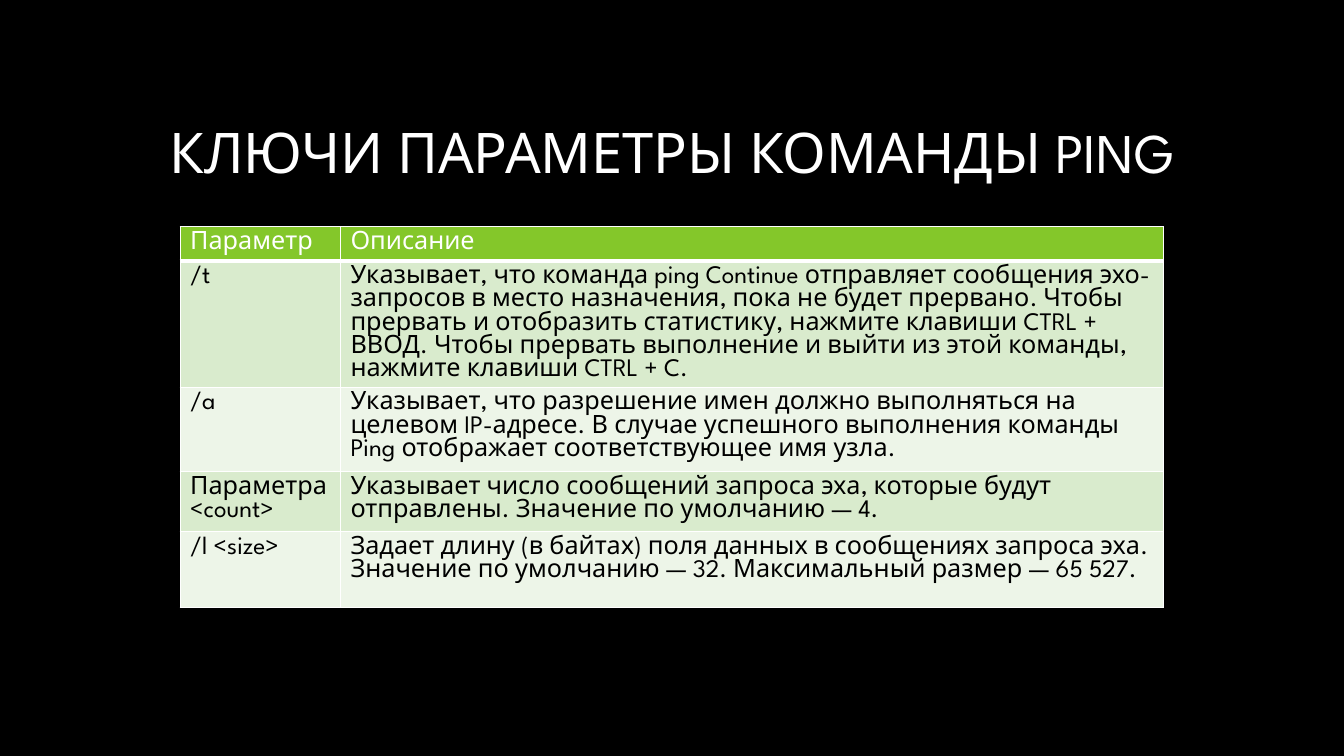
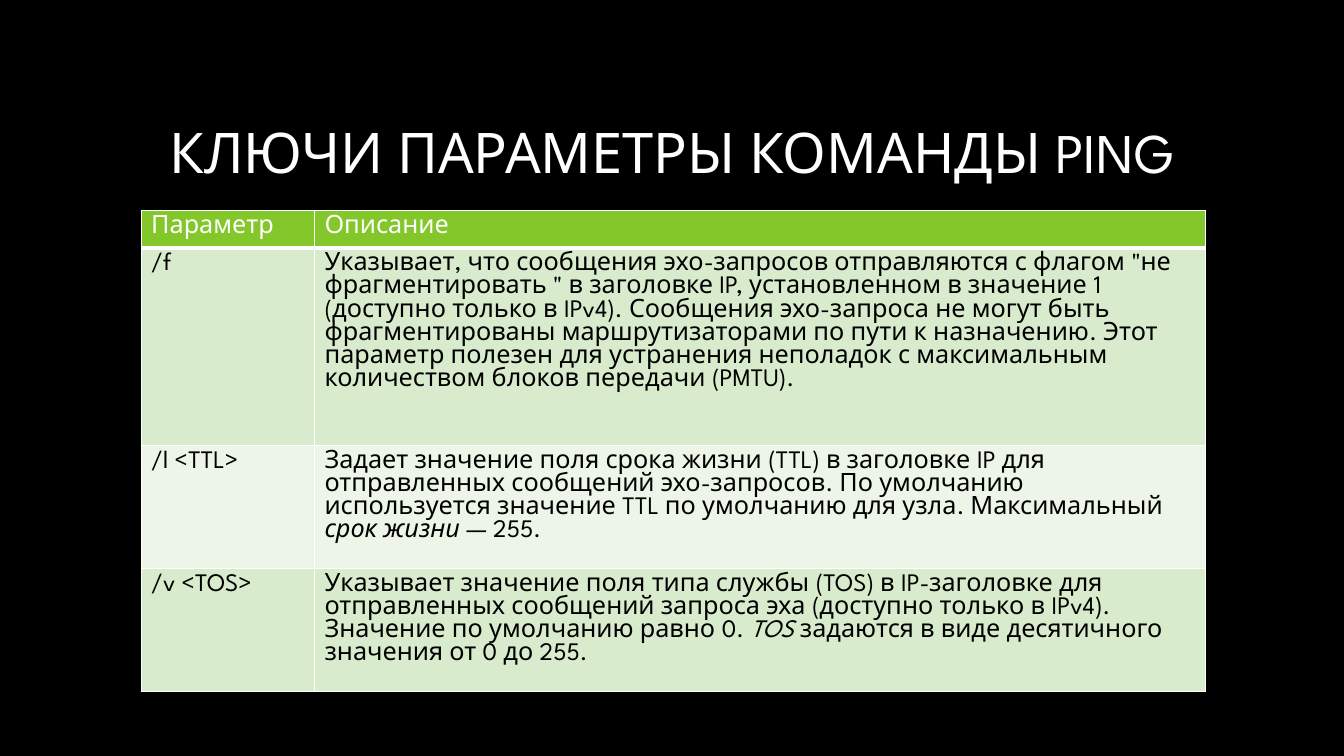
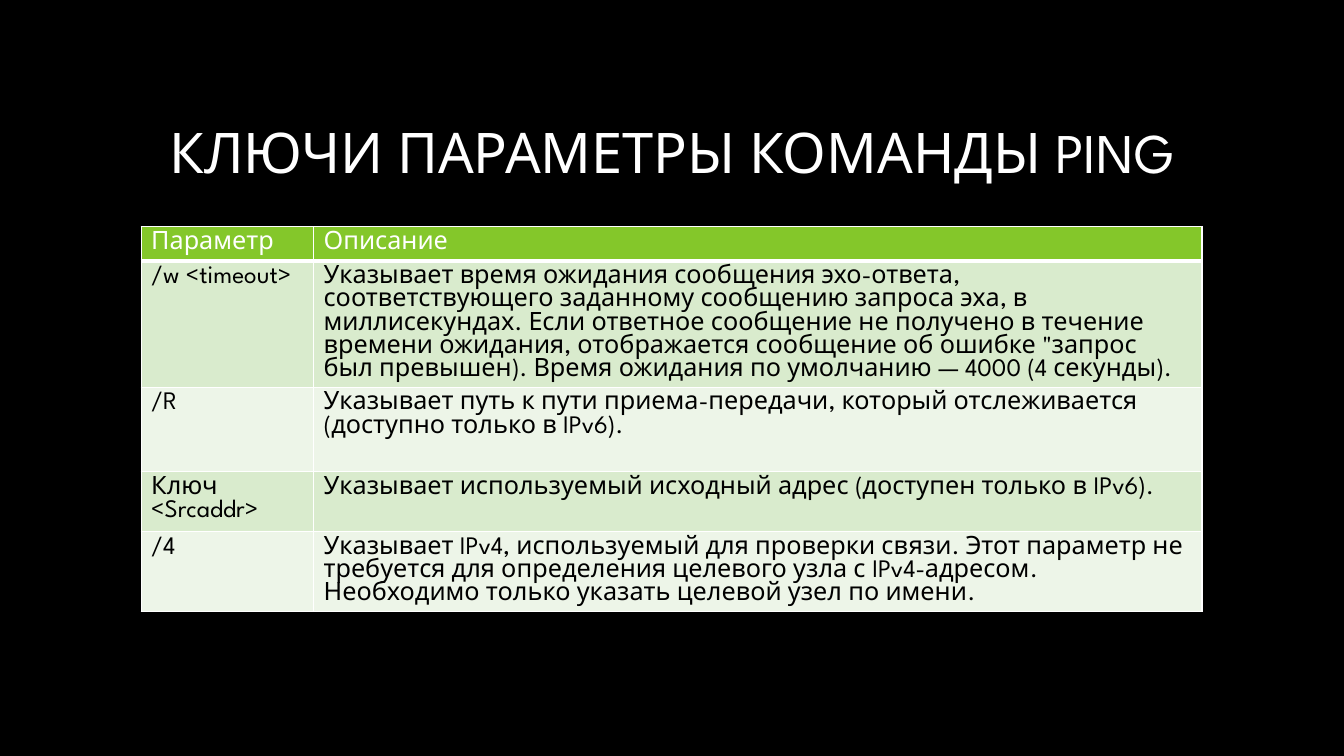
"""Three slides with tables of the keys of the ping command."""
from lxml import etree
from pptx import Presentation, util as u
from pptx.dml.color import RGBColor
from pptx.enum import text
from pptx.oxml import ns

BLACK = RGBColor(0x00, 0x00, 0x00)
WHITE = RGBColor(0xFF, 0xFF, 0xFF)
GREEN = RGBColor(0x84, 0xC7, 0x2A)
BANDS = RGBColor(0xD9, 0xEB, 0xCD), RGBColor(0xED, 0xF5, 0xE8)

TITLE = "КЛЮЧИ ПАРАМЕТРЫ КОМАНДЫ PING"
HEAD = "Параметр", "Описание"
FIVE = 4.53, 16.27, 11.2, 7.87, 10.13
FOUR = 4.93, 26.13, 16.27, 16.27

TABLES = [
    ((13.4, 30), (11.93, 61.22), FIVE, [
        ("/t", "Указывает, что команда ping Continue отправляет сообщения эхо-запросов в место назначения, "
               "пока не будет прервано. Чтобы прервать и отобразить статистику, нажмите клавиши CTRL + ВВОД. "
               "Чтобы прервать выполнение и выйти из этой команды, нажмите клавиши CTRL + C."),
        ("/a", "Указывает, что разрешение имен должно выполняться на целевом IP-адресе. "
               "В случае успешного выполнения команды Ping отображает соответствующее имя узла."),
        ("Параметра <count>", "Указывает число сообщений запроса эха, которые будут отправлены. "
                              "Значение по умолчанию — 4."),
        ("/l <size>", "Задает длину (в байтах) поля данных в сообщениях запроса эха. "
                      "Значение по умолчанию — 32. Максимальный размер — 65 527."),
    ]),
    ((10.5, 27.87), (12.9, 66.32), FOUR, [
        ("/f", "Указывает, что сообщения эхо-запросов отправляются с флагом \"не фрагментировать \" "
               "в заголовке IP, установленном в значение 1 (доступно только в IPv4). "
               "Сообщения эхо-запроса не могут быть фрагментированы маршрутизаторами по пути к назначению. "
               "Этот параметр полезен для устранения неполадок с максимальным количеством блоков передачи (PMTU)."),
        ("/l <TTL>", "Задает значение поля срока жизни (TTL) в заголовке IP для отправленных сообщений "
                     "эхо-запросов. По умолчанию используется значение TTL по умолчанию для узла. "
                     "Максимальный *срок жизни* — 255."),
        ("/v <TOS>", "Указывает значение поля типа службы (TOS) в IP-заголовке для отправленных сообщений "
                     "запроса эха (доступно только в IPv4). Значение по умолчанию равно 0. *TOS* задаются "
                     "в виде десятичного значения от 0 до 255."),
    ]),
    ((10.5, 30), (12.83, 66.1), FIVE, [
        ("/w <timeout>", "Указывает время ожидания сообщения эхо-ответа, соответствующего заданному сообщению "
                         "запроса эха, в миллисекундах. Если ответное сообщение не получено в течение времени "
                         "ожидания, отображается сообщение об ошибке \"запрос был превышен). "
                         "Время ожидания по умолчанию — 4000 (4 секунды)."),
        ("/R", "Указывает путь к пути приема-передачи, который отслеживается (доступно только в IPv6)."),
        ("Ключ <Srcaddr>", "Указывает используемый исходный адрес (доступен только в IPv6)."),
        ("/4", "Указывает IPv4, используемый для проверки связи. Этот параметр не требуется для определения "
               "целевого узла с IPv4-адресом. Необходимо только указать целевой узел по имени."),
    ]),
]


class Deck:
    """Hold the style and the current slide; lengths are percent of the slide."""

    font = "League Spartan"

    def __init__(self):
        self.prs = Presentation()
        self.prs.slide_width = u.Inches(13.33)
        self.prs.slide_height = u.Inches(7.5)
        back = self.prs.slide_master.background.fill
        back.solid()
        back.fore_color.rgb = BLACK

    def wide(self, part):
        """Turn a share of the width into a length."""
        return round(self.prs.slide_width * part / 100)

    def high(self, part):
        """Turn a share of the height into a length."""
        return round(self.prs.slide_height * part / 100)

    def runs(self, par, words, size, color):
        """Add runs to a paragraph; words between asterisks are italic."""
        for i, part in enumerate(words.split("*")):
            run = par.add_run()
            run.text = part
            font = run.font
            font.name, font.size, font.bold = self.font, u.Pt(size), False
            font.italic = i % 2 == 1
            font.color.rgb = color

    def page(self, words):
        """Start a slide with its title."""
        self.slide = self.prs.slides.add_slide(self.prs.slide_layouts[5])
        box = self.slide.shapes.title
        box.left, box.top = 0, self.high(11.2)
        box.width, box.height = self.wide(100), self.high(18.8)
        frame = box.text_frame
        frame.vertical_anchor = text.MSO_ANCHOR.MIDDLE
        frame.word_wrap = True
        par = frame.paragraphs[0]
        par.alignment = text.PP_ALIGN.CENTER
        par.line_spacing = 0.9
        self.runs(par, words, 40, WHITE)

    def edge(self, cell, base):
        """Draw white cell borders, the lower one with its own width."""
        props = cell._tc.get_or_add_tcPr()
        for side, width in zip("LRTB", (1, 1, 1, base)):
            line = etree.SubElement(props, ns.qn(f"a:ln{side}"), w=str(u.Pt(width)))
            fill = etree.SubElement(line, ns.qn("a:solidFill"))
            etree.SubElement(fill, ns.qn("a:srgbClr"), val=str(WHITE))

    def table(self, spot, cols, rows, data):
        """Add a table with a green head and banded rows."""
        grid = self.slide.shapes.add_table(
            len(rows), len(cols), self.wide(spot[0]), self.high(spot[1]),
            self.wide(sum(cols)), self.high(sum(rows))).table
        grid.horz_banding = False
        for col, part in zip(grid.columns, cols):
            col.width = self.wide(part)
        for r, (row, part, line) in enumerate(zip(grid.rows, rows, [HEAD, *data])):
            row.height = self.high(part)
            for cell, words in zip(row.cells, line):
                self.edge(cell, 1 if r else 3)
                cell.fill.solid()
                cell.fill.fore_color.rgb = BANDS[(r - 1) % 2] if r else GREEN
                self.runs(cell.text_frame.paragraphs[0], words, 18, BLACK if r else WHITE)


def main():
    """Build and save the slides."""
    deck = Deck()
    for item in TABLES:
        deck.page(TITLE)
        deck.table(*item)
    deck.prs.save("out.pptx")


if __name__ == "__main__":
    main()
